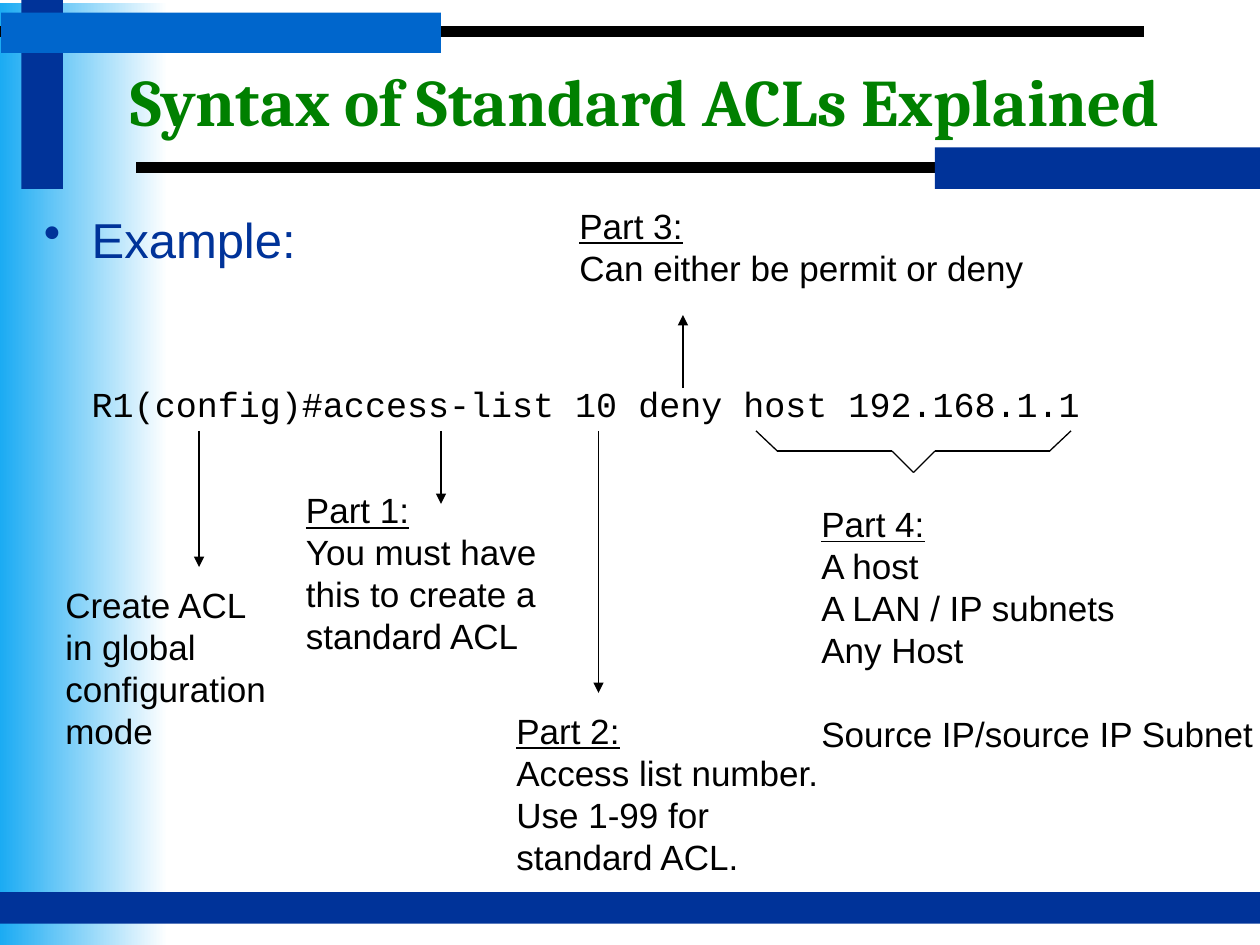
from itertools import pairwise

from lxml import etree
from pptx import Presentation
from pptx.dml.color import RGBColor
from pptx.enum import shapes, text
from pptx.oxml.ns import qn
from pptx.util import Inches, Pt

COLORS = {"navy": "003399", "blue": "0066CC", "sky": "1BABF3",
          "white": "FFFFFF", "black": "000000", "green": "008000"}


def color(name):
    return RGBColor.from_string(COLORS[name])


class SlideBuilder:
    def __init__(self, slide, font="Arial", size=20):
        self.slide, self.font, self.size = slide, font, size

    def bar(self, left, top, width, height, fill, fade_to=None):
        bar = self.slide.shapes.add_shape(
            shapes.MSO_SHAPE.RECTANGLE, *map(Inches, (left, top, width, height)))
        bar.shadow.inherit = False
        bar.line.fill.background()
        if fade_to:
            bar.fill.gradient()
            bar.fill.gradient_angle = 0
            for stop, name in zip(bar.fill.gradient_stops, (fill, fade_to)):
                stop.color.rgb = color(name)
        else:
            bar.fill.solid()
            bar.fill.fore_color.rgb = color(fill)

    def line(self, start, end, width=0.75, arrow=False, parent=None):
        line = (parent or self.slide).shapes.add_connector(
            shapes.MSO_CONNECTOR.STRAIGHT, *map(Inches, (*start, *end)))
        line.line.color.rgb = color("black")
        line.line.width = Pt(width)
        properties = line._element.spPr
        if arrow:
            etree.SubElement(properties.find(qn("a:ln")), qn("a:tailEnd"), type="triangle")
        etree.SubElement(properties, qn("a:effectLst"))

    def bracket(self, points):
        group = self.slide.shapes.add_group_shape()
        for start, end in pairwise(points):
            shape_parent = GroupParent(group)
            self.line(start, end, parent=shape_parent)

    def title(self, words, left, top, width, height):
        title = self.slide.shapes.title
        title.left, title.top, title.width, title.height = map(
            Inches, (left, top, width, height))
        # Bring the title in front of the bars
        self.slide.shapes._spTree.append(title._element)
        frame = title.text_frame
        frame.word_wrap = True
        frame.vertical_anchor = text.MSO_ANCHOR.MIDDLE
        frame.paragraphs[0].alignment = text.PP_ALIGN.CENTER
        self.run(frame.paragraphs[0], words, "green", 38, "Cambria", bold=True)

    def run(self, paragraph, words, fill="black", size=None, font=None,
            bold=False, underline=False):
        run = paragraph.add_run()
        run.text = words
        run.font.name = font or self.font
        run.font.size = Pt(size or self.size)
        run.font.bold = bold
        run.font.underline = underline
        run.font.color.rgb = color(fill)

    def text_box(self, left, top, width, height, lines, heading=None, wrap=True, **style):
        box = self.slide.shapes.add_textbox(*map(Inches, (left, top, width, height)))
        frame = box.text_frame
        frame.word_wrap = wrap
        paragraph = frame.paragraphs[0]
        if heading:
            self.run(paragraph, heading, underline=True)
            paragraph = frame.add_paragraph()
        for index, words in enumerate(lines):
            if index:
                paragraph = frame.add_paragraph()
            self.run(paragraph, words, **style)
        return frame

    def bullet(self, left, top, width, height, words, **style):
        frame = self.text_box(left, top, width, height, [words], **style)
        properties = frame.paragraphs[0]._p.get_or_add_pPr()
        indent = Inches(0.38)
        properties.set("marL", str(indent))
        properties.set("indent", str(-indent))
        etree.SubElement(properties, qn("a:buChar"), char="•")


class GroupParent:
    """Lets a group stand in for the slide when lines are added."""

    def __init__(self, group):
        self.shapes = group.shapes


def main():
    deck = Presentation()
    deck.slide_width, deck.slide_height = Inches(10), Inches(7.5)
    page = SlideBuilder(deck.slides.add_slide(deck.slide_layouts[5]))

    # Background bars and rules
    page.bar(0, 0.02, 1.33, 7.48, "sky", fade_to="white")
    page.line((1.08, 1.33), (10, 1.33), 6)
    page.line((0, 0.25), (9.08, 0.25), 6)
    page.bar(0.17, 0, 0.33, 1.5, "navy")
    page.bar(0.01, 0.1, 3.49, 0.32, "blue")
    page.bar(7.42, 1.17, 2.58, 0.33, "navy")
    page.bar(0, 7.08, 10, 0.25, "navy")

    # Title and example command
    page.title("Syntax of Standard ACLs Explained", 0.5, 0.33, 9.25, 0.92)
    page.bullet(0.25, 1.61, 4, 0.55, "Example:", fill="navy", size=28)
    page.text_box(0.63, 2.99, 9, 0.42,
                  ["R1(config)#access-list 10 deny host 192.168.1.1"], font="Courier New")

    # Arrows from the command to its explanations
    for x, start, end in ((1.58, 3.42, 4.5), (3.5, 3.42, 4),
                          (4.75, 3.42, 5.5), (5.42, 3.08, 2.5)):
        page.line((x, start), (x, end), arrow=True)

    # Bracket under the host address
    page.bracket([(6, 3.42), (6.17, 3.58), (7.08, 3.58), (7.25, 3.75),
                  (7.42, 3.58), (8.33, 3.58), (8.5, 3.42)])

    # Explanations
    page.text_box(0.42, 4.58, 1.87, 1.43,
                  ["Create ACL", "in global", "configuration", "mode"], wrap=False)
    page.text_box(2.33, 3.83, 2.17, 1.43,
                  ["You must have this to create a", "standard ACL"], "Part 1:")
    page.text_box(4, 5.58, 2.67, 1.43,
                  ["Access list number.", "Use 1-99 for", "standard ACL."], "Part 2:")
    page.text_box(4.5, 1.57, 4, 1.1, ["Can either be permit or deny"], "Part 3:")
    sources = page.text_box(
        6.42, 3.94, 3.83, 2.46,
        ["A host", "A LAN / IP subnets", "Any Host", "Source IP/source IP Subnet"], "Part 4:")
    sources.paragraphs[-1].space_before = Pt(24)

    deck.save("out.pptx")


if __name__ == "__main__":
    main()
